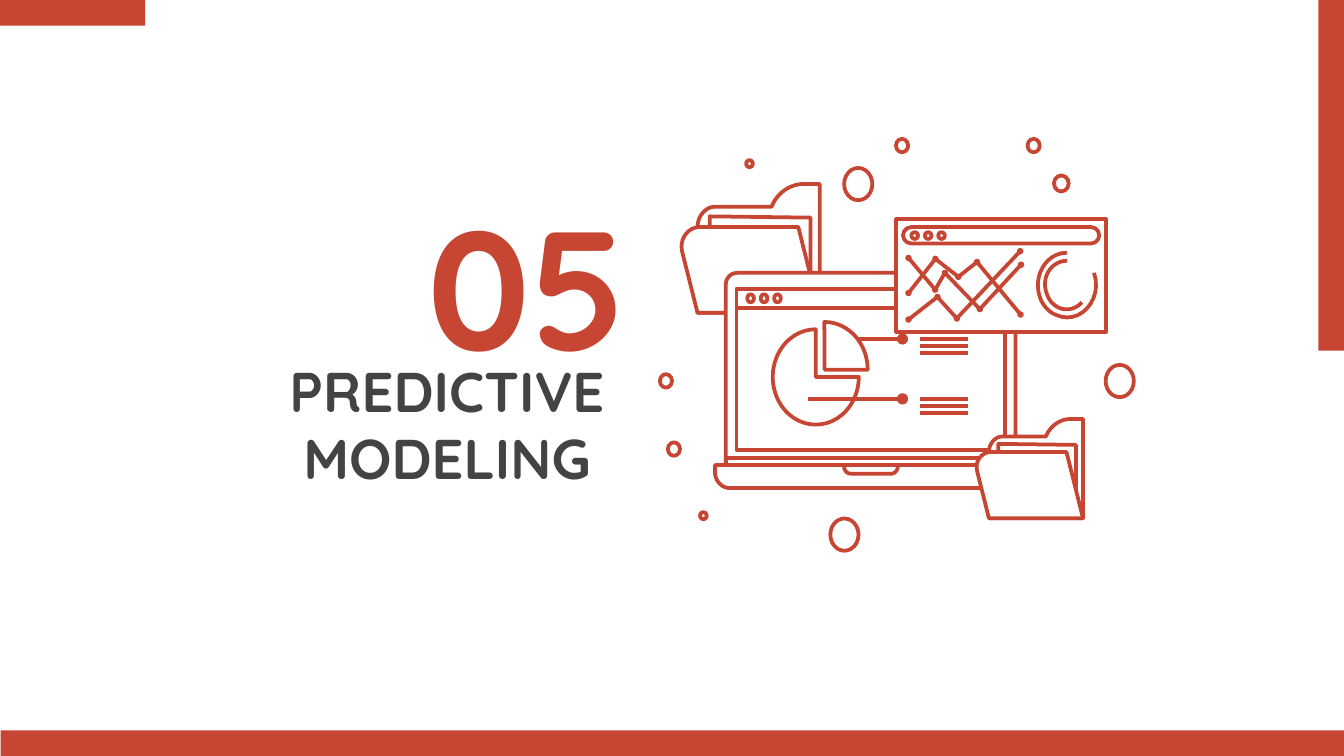
from lxml import etree
from pptx import Presentation, util as u
from pptx.dml.color import RGBColor
from pptx.enum import shapes, text
from pptx.oxml.ns import qn

RED, WHITE, GREY = "C74533", "FFFFFF", "434343"
FONT = "Quicksand"
SHAPE = shapes.MSO_SHAPE


def colour(value):
    return RGBColor.from_string(value)


def style(shape, fill=WHITE, line=RED):
    shape.shadow.inherit = False
    if fill:
        shape.fill.solid()
        shape.fill.fore_color.rgb = colour(fill)
    else:
        shape.fill.background()
    if line:
        shape.line.color.rgb = colour(line)
        shape.line.width = u.Pt(2)
    else:
        shape.line.fill.background()


def add_preset(page, kind, left, top, width, height, adjust=(), fill=WHITE, line=RED):
    shape = page.shapes.add_shape(kind, u.Pt(left), u.Pt(top), u.Pt(width), u.Pt(height))
    for index, value in enumerate(adjust):
        shape.adjustments[index] = value
    style(shape, fill, line)
    return shape


def flatten(steps, pieces=12):
    points = [steps[0]]
    for step in steps[1:]:
        if len(step) == 2:
            points.append(step)
            continue
        knots = [points[-1], step[:2], step[2:4], step[4:]]
        for piece in range(1, pieces + 1):
            t = piece / pieces
            weights = ((1 - t) ** 3, 3 * t * (1 - t) ** 2, 3 * t * t * (1 - t), t ** 3)
            points.append(tuple(sum(w * k[axis] for w, k in zip(weights, knots)) for axis in (0, 1)))
    return points


def add_outline(page, steps, left=0, top=0, scale=1, closed=True):
    points = [(u.Pt(left + x * scale), u.Pt(top + y * scale)) for x, y in flatten(steps)]
    builder = page.shapes.build_freeform(*points[0], scale=1.0)
    builder.add_line_segments(points[1:], close=closed)
    style(builder.convert_to_shape(), WHITE if closed else None)


def add_line(page, left, right, y, dot=False):
    line = page.shapes.add_connector(
        shapes.MSO_CONNECTOR.STRAIGHT, u.Pt(left), u.Pt(y), u.Pt(right), u.Pt(y))
    line.line.color.rgb = colour(RED)
    line.line.width = u.Pt(2)
    if dot:
        etree.SubElement(line.line._get_or_add_ln(), qn("a:tailEnd"), type="oval")
    etree.SubElement(line._element.spPr, qn("a:effectLst"))


def add_text(page, lines, left, top, width, height, size, ink, align, spacing=1.0, margin=0):
    box = page.shapes.add_textbox(u.Pt(left), u.Pt(top), u.Pt(width), u.Pt(height))
    frame = box.text_frame
    frame.word_wrap = True
    frame.vertical_anchor = text.MSO_ANCHOR.MIDDLE
    frame.margin_left = frame.margin_right = u.Pt(7.2)
    frame.margin_top = frame.margin_bottom = u.Pt(7.2)
    para = frame.paragraphs[0]
    para.alignment = align
    para.line_spacing = spacing
    para._p.get_or_add_pPr().set("marL", str(u.Pt(margin)))
    for index, words in enumerate(lines):
        if index:
            para.add_line_break()
        span = para.add_run()
        span.text = words
        span.font.name = FONT
        span.font.size = u.Pt(size)
        span.font.bold = True
        span.font.color.rgb = colour(ink)


def add_folder(page, left, top, scale):
    back = [(67, 0), (60.5, 0, 54.7, 3.6, 51.1, 9.4), (49.7, 12.2), (19.4, 12.2),
            (14.4, 12.2, 10.1, 17.3, 10.1, 23), (10.1, 69), (75.6, 69), (75.6, 0)]
    paper = [(16.6, 17.3), (16.6, 61.2), (70.6, 61.2), (70.6, 18)]
    front = [(11.5, 23), (5, 23, 0, 29.5, 2, 36.7), (10.1, 69), (75.6, 69), (64.1, 23)]
    for sheet in (back, paper, front):
        add_outline(page, sheet, left, top, scale)


def add_tray(page, left, top, width, height, radius, drop):
    near, far = radius * 0.45, width - radius * 0.45
    bend = drop + (height - drop) * 0.55
    add_outline(page, [
        (0, 0), (0, drop), (0, bend, near, height, radius, height),
        (width - radius, height), (far, height, width, bend, width, drop), (width, 0),
    ], left, top)


def add_buttons(page, left, top, height):
    for index in range(3):
        add_preset(page, SHAPE.OVAL, left + 7.2 * index, top, 3.6, height)


def add_laptop(page):
    add_preset(page, SHAPE.ROUND_2_SAME_RECTANGLE, 388.8, 146.2, 155.2, 102.9, (0.06, 0))
    add_preset(page, SHAPE.RECTANGLE, 388.8, 245.5, 155.2, 3.6)
    add_tray(page, 383, 249.1, 168, 12.4, 8, 3.6)
    add_tray(page, 452.2, 249.1, 28.8, 4.7, 3.6, 0.7)
    for height in (86.4, 10.1):
        add_preset(page, SHAPE.RECTANGLE, 394.6, 154.8, 144, height)
    add_buttons(page, 400.3, 157.7, 4.3)
    add_preset(page, SHAPE.PIE, 414, 176.4, 46.1, 51.1, (0, 162))
    for start, y in ((451.4, 181.6), (432.7, 213.7)):
        add_line(page, start, 483.5, y, dot=True)
        for index in range(3):
            add_line(page, 493, 518.6, y + 3.8 * index)
    wedge = add_preset(page, SHAPE.PIE, 416.2, 175, 51.1, 46.1, (107.78, 162))
    wedge.rotation = 90


def add_dashboard(page):
    add_preset(page, SHAPE.RECTANGLE, 480.2, 117.4, 112.4, 60.5)
    add_preset(page, SHAPE.ROUNDED_RECTANGLE, 483.8, 121.7, 105.1, 8.8, (0.5,))
    add_buttons(page, 488.2, 124.4, 3.6)
    trends = (
        [(486.7, 157), (501.1, 138.7), (513.4, 148.3), (523.4, 140.4), (546.7, 168.5)],
        [(486.7, 138.2), (501, 155.2), (506.2, 146.2), (524.9, 165.6), (547, 141.8)],
        [(486.7, 171.2), (502.2, 159.1), (512.6, 170.6), (546.5, 134.6)],
    )
    for trend in trends:
        add_outline(page, trend, closed=False)
    for trend in trends:
        for x, y in trend:
            add_preset(page, SHAPE.OVAL, x - 0.7, y - 0.7, 1.4, 1.4)
    gauge = (
        [(586.1, 146.2), (591.1, 160.6, 578.2, 175, 565.2, 168.5),
         (561.6, 167, 558.7, 163.4, 557.3, 159.8), (553, 148.3, 560.2, 135.4, 571.7, 135.4)],
        [(579.6, 162), (573.8, 168.5, 563.8, 166.3, 560.9, 157.7),
         (557.3, 149, 563, 139.7, 571.7, 139.7)],
    )
    for arc in gauge:
        add_outline(page, arc, closed=False)


def add_bubbles(page):
    bubbles = {
        (15.1, 17.3): [(452.2, 90), (592.3, 195.5), (444.8, 277.8)],
        (7.9, 8.6): [(564.6, 94)],
        (6.5, 7.2): [(353.5, 200.5), (480, 74.4), (357.8, 237), (550.5, 74.4)],
        (3.6, 3.8): [(375, 274.4), (399.7, 85.8)],
    }
    for size, places in bubbles.items():
        for place in places:
            add_preset(page, SHAPE.OVAL, *place, *size)


def main():
    deck = Presentation()
    deck.slide_width, deck.slide_height = u.Pt(720), u.Pt(405)
    page = deck.slides.add_slide(deck.slide_layouts[6])
    for bar in ((0, 0, 77.8, 13.7), (0.4, 391.3, 719.6, 13.7), (706.3, 0, 13.7, 187.9)):
        add_preset(page, SHAPE.RECTANGLE, *bar, fill=RED, line=None)
    add_text(page, ["PREDICTIVE", "MODELING"], 67, 166.3, 344.9, 121, 30, GREY,
             text.PP_ALIGN.CENTER)
    add_text(page, ["05"], 211, 99.4, 141.1, 88.6, 90, RED,
             text.PP_ALIGN.LEFT, spacing=1.15, margin=10.8)
    add_folder(page, 363.6, 98.6, 1)
    add_laptop(page)
    add_folder(page, 522, 224.5, 0.77)
    add_dashboard(page)
    add_bubbles(page)
    deck.save("out.pptx")


if __name__ == "__main__":
    main()
